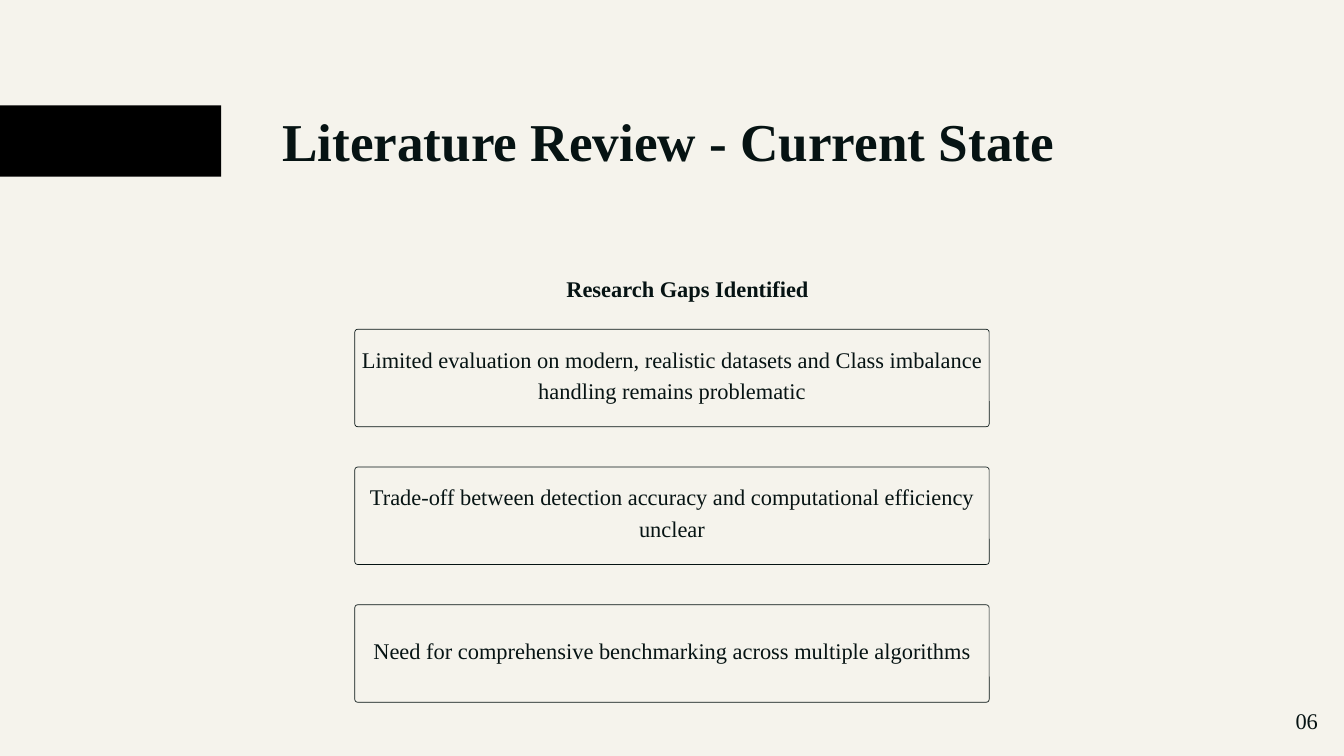
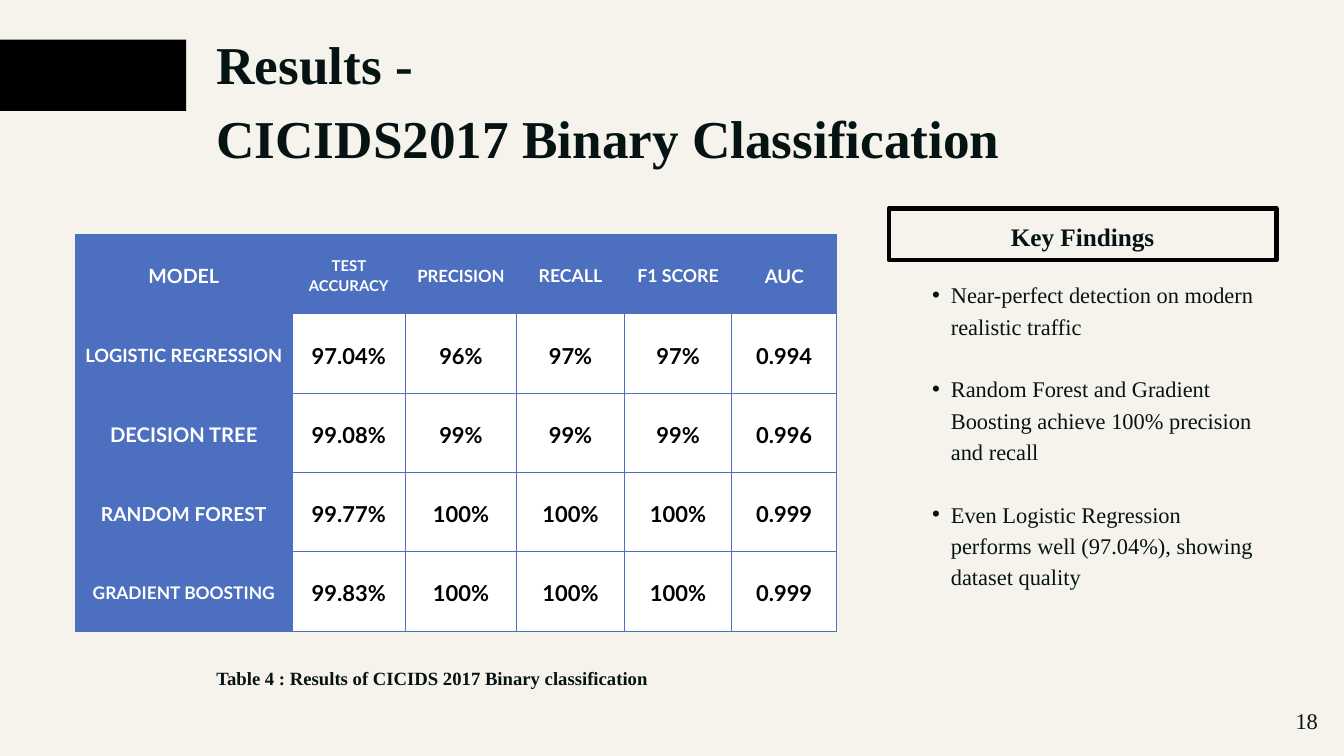
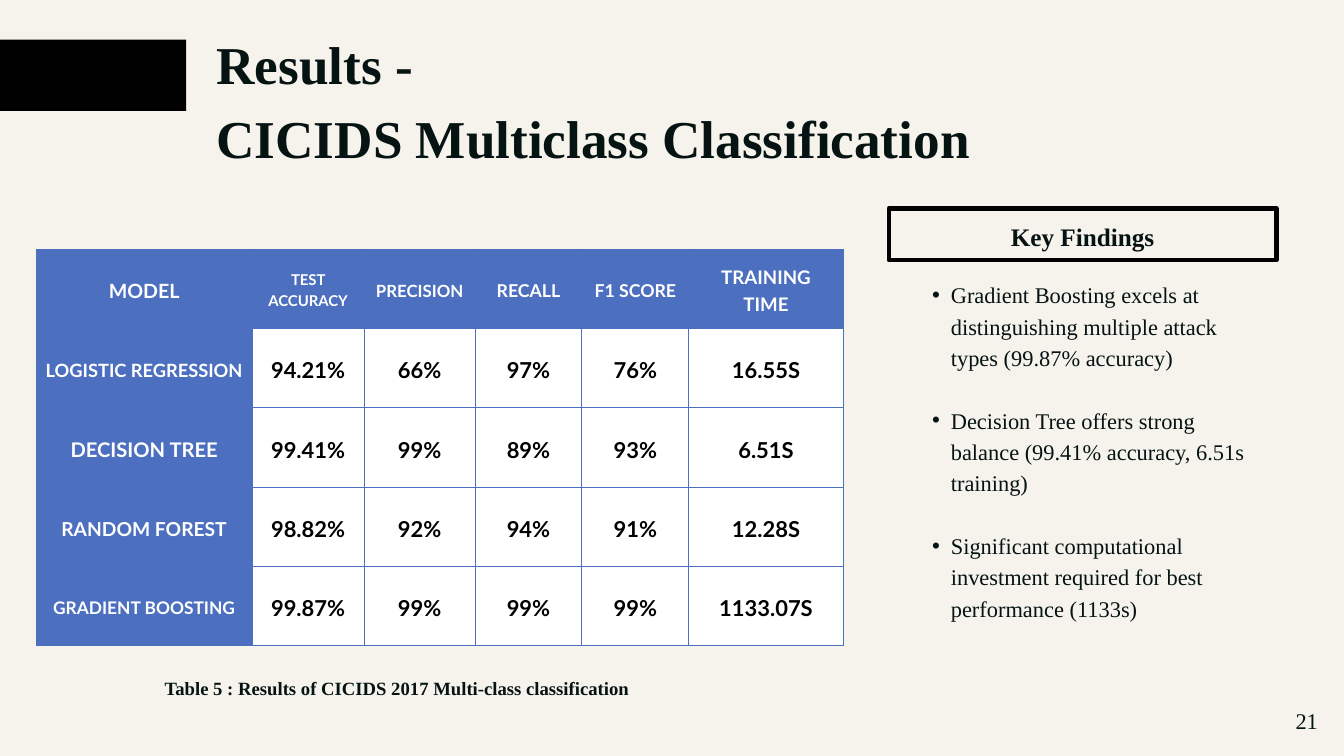
from lxml import etree
from pptx import Presentation, util as u
from pptx.dml.color import RGBColor
from pptx.enum import shapes, text
from pptx.oxml.ns import qn

SCALE = 9144  # 100 px to the inch
HUES = {"paper": "F5F3EC", "ink": "061313", "black": "000000",
        "white": "FFFFFF", "blue": "4C6FBF"}
SERIF, SANS = "Times New Roman", "Lato"
LEAD = 1.4  # line pitch per point of type
LEFT, MID = text.PP_ALIGN.LEFT, text.PP_ALIGN.CENTER
CENTRE = text.MSO_ANCHOR.MIDDLE

HEADS = ["MODEL", "TEST ACCURACY", "PRECISION", "RECALL", "F1 SCORE"]
HEAD_SIZES = [21, 16, 18, 19, 19, 20]
MODELS = {"LOGISTIC REGRESSION": 19.6, "DECISION TREE": 21.6,
          "RANDOM FOREST": 20.6, "GRADIENT BOOSTING": 18.6}
ROW = 118

GAPS = ["Limited evaluation on modern, realistic datasets and Class imbalance "
        "handling remains problematic",
        "Trade-off between detection accuracy and computational efficiency unclear",
        "Need for comprehensive benchmarking across multiple algorithms"]

RESULTS = [
    dict(page="18", title="Results -\nCICIDS2017 Binary Classification",
         spot=(112, 349), cols=[323, 168, 166, 160, 160, 156], last="AUC",
         rows=[["97.04%", "96%", "97%", "97%", "0.994"],
               ["99.08%", "99%", "99%", "99%", "0.996"],
               ["99.77%", "100%", "100%", "100%", "0.999"],
               ["99.83%", "100%", "100%", "100%", "0.999"]],
         note="Table 4 : Results of CICIDS 2017 Binary classification",
         note_at=(322, 987),
         finds=["Near-perfect detection on modern realistic traffic",
                "Random Forest and Gradient Boosting achieve 100% precision and recall",
                "Even Logistic Regression performs well (97.04%), showing dataset quality"]),
    dict(page="21", title="Results -\nCICIDS Multiclass Classification",
         spot=(54, 371), cols=[321, 167, 165, 159, 159, 230], last="TRAINING\nTIME",
         rows=[["94.21%", "66%", "97%", "76%", "16.55S"],
               ["99.41%", "99%", "89%", "93%", "6.51S"],
               ["98.82%", "92%", "94%", "91%", "12.28S"],
               ["99.87%", "99%", "99%", "99%", "1133.07S"]],
         note="Table 5 : Results of CICIDS 2017 Multi-class classification",
         note_at=(245, 1002),
         finds=["Gradient Boosting excels at distinguishing multiple attack types (99.87% accuracy)",
                "Decision Tree offers strong balance (99.41% accuracy, 6.51s training)",
                "Significant computational investment required for best performance (1133s)"]),
]


def px(*vals):
    return [u.Emu(v * SCALE) for v in vals]


def rgb(hue):
    return RGBColor.from_string(HUES[hue])


def points(size):
    return u.Centipoints(round(size * 100))


def assign(obj, **vals):
    for key, val in vals.items():
        setattr(obj, key, val)


def bullet(para):
    props = para._p.get_or_add_pPr()
    inset, hang = px(57, -28)
    props.set("marL", str(inset))
    props.set("indent", str(hang))
    etree.SubElement(props, qn("a:buFont")).set("typeface", "Arial")
    etree.SubElement(props, qn("a:buChar")).set("char", "•")


def write(frame, words, size, bold=False, hue="ink", face=SERIF, align=LEFT, dots=False):
    """Fill a frame, one paragraph to each line of words."""
    for i, line in enumerate(words.split("\n")):
        para = frame.add_paragraph() if i else frame.paragraphs[0]
        pitch = points(size * LEAD)
        if dots:
            bullet(para)
            para.level = 1
            if i:
                para.space_before = pitch
        assign(para, alignment=align, line_spacing=pitch)
        run = para.add_run()
        run.text = line
        assign(run.font, size=points(size), bold=bold, name=face)
        run.font.color.rgb = rgb(hue)


def inset(frame, left=0, top=0, right=0, bottom=0):
    left, top, right, bottom = px(left, top, right, bottom)
    assign(frame, margin_left=left, margin_top=top, margin_right=right,
           margin_bottom=bottom, word_wrap=True)


def label(slide, box, words, size, **style):
    frame = slide.shapes.add_textbox(*px(*box)).text_frame
    inset(frame)
    write(frame, words, size, **style)


def block(slide, box, fill=None, line=None, width=1, kind="RECTANGLE"):
    shape = slide.shapes.add_shape(getattr(shapes.MSO_SHAPE, kind), *px(*box))
    shape.shadow.inherit = False
    for part, hue in ((shape.fill, fill), (shape.line.fill, line)):
        if hue:
            part.solid()
            part.fore_color.rgb = rgb(hue)
        else:
            part.background()
    if line:
        shape.line.width = points(width)
    inset(shape.text_frame)
    shape.text_frame.vertical_anchor = CENTRE
    return shape


def start(deck, page, title, band, box):
    """Add a slide with its band, title and page number."""
    slide = deck.slides.add_slide(deck.slide_layouts[6])
    slide.background.fill.solid()
    slide.background.fill.fore_color.rgb = rgb("paper")
    block(slide, band, fill="black")
    label(slide, box, title, 57, bold=True)
    label(slide, (1920, 1046, 49, 43), page, 24, align=MID)
    return slide


def edge(cell):
    """Rule all four sides; call before the cell is filled."""
    props = cell._tc.get_or_add_tcPr()
    for side in "LRTB":
        rule = etree.SubElement(props, qn("a:ln" + side), w=str(points(1.09)))
        fill = etree.SubElement(rule, qn("a:solidFill"))
        etree.SubElement(fill, qn("a:srgbClr")).set("val", HUES["blue"])


def fill_cell(cell, words, size, head):
    edge(cell)
    cell.fill.solid()
    cell.fill.fore_color.rgb = rgb("blue" if head else "white")
    assign(cell, margin_left=0, margin_right=0, margin_top=0, margin_bottom=0,
           vertical_anchor=CENTRE)
    write(cell.text_frame, words, size, bold=True, face=SANS, align=MID,
          hue="white" if head else "black")


def grid(slide, spot, cols, last, rows):
    lines = [HEADS + [last]] + [[name] + row for name, row in zip(MODELS, rows)]
    box = px(*spot, sum(cols), ROW * len(lines))
    table = slide.shapes.add_table(len(lines), len(cols), *box).table
    assign(table, first_row=False, horz_banding=False)
    for col, wide in zip(table.columns, px(*cols)):
        col.width = wide
    for r, line in enumerate(lines):
        table.rows[r].height = px(ROW)[0]
        for c, words in enumerate(line):
            size = HEAD_SIZES[c] if r == 0 else MODELS.get(words, 23.5)
            fill_cell(table.cell(r, c), words, size, r == 0 or c == 0)


def review(deck):
    slide = start(deck, "06", "Literature Review - Current State",
                  (0, 157, 329, 106), (420, 145, 1160, 216))
    label(slide, (769, 403, 508, 42), "Research Gaps Identified", 24, bold=True, align=MID)
    for i, words in enumerate(GAPS):
        card = block(slide, (528, 490 + 205 * i, 944, 145), line="ink", width=0.75,
                     kind="ROUNDED_RECTANGLE")
        card.adjustments[0] = 0.03
        inset(card.text_frame, 5, 6, 5, 22)
        write(card.text_frame, words, 24, align=MID)


def result(deck, page, title, spot, cols, last, rows, note, note_at, finds):
    slide = start(deck, page, title, (0, 59, 277, 106), (322, 30, 1565, 318))
    grid(slide, spot, cols, last, rows)
    label(slide, (*note_at, 1160, 37), note, 20, bold=True)
    head = block(slide, (1323, 310, 576, 77), line="black", width=5.25)
    write(head.text_frame, "Key Findings", 27, bold=True, align=MID)
    label(slide, (1358, 412, 507, 547), "\n".join(finds), 24, dots=True)


def main():
    deck = Presentation()
    wide, high = px(2000, 1125)
    assign(deck, slide_width=wide, slide_height=high)
    review(deck)
    for item in RESULTS:
        result(deck, **item)
    deck.save("out.pptx")


if __name__ == "__main__":
    main()
